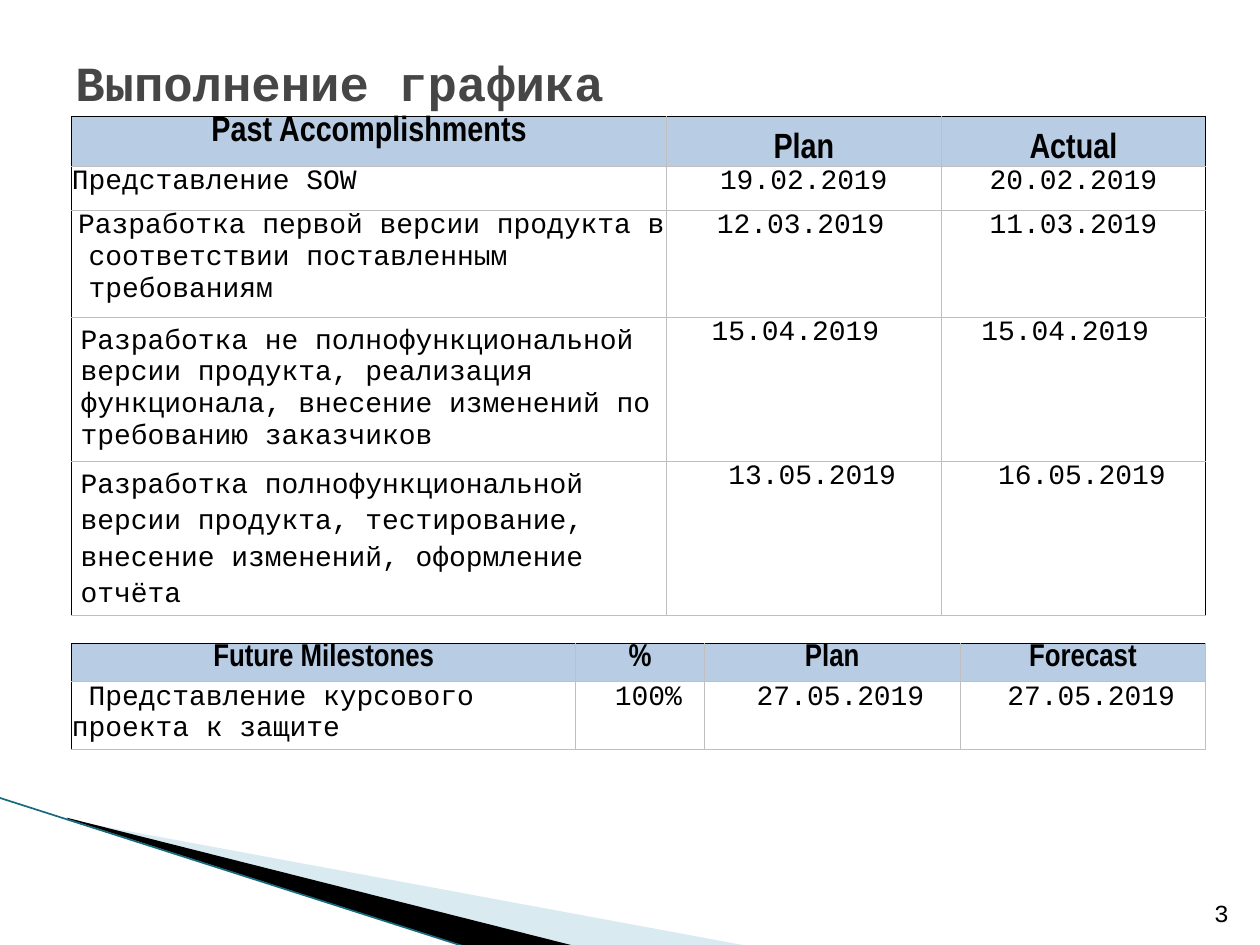
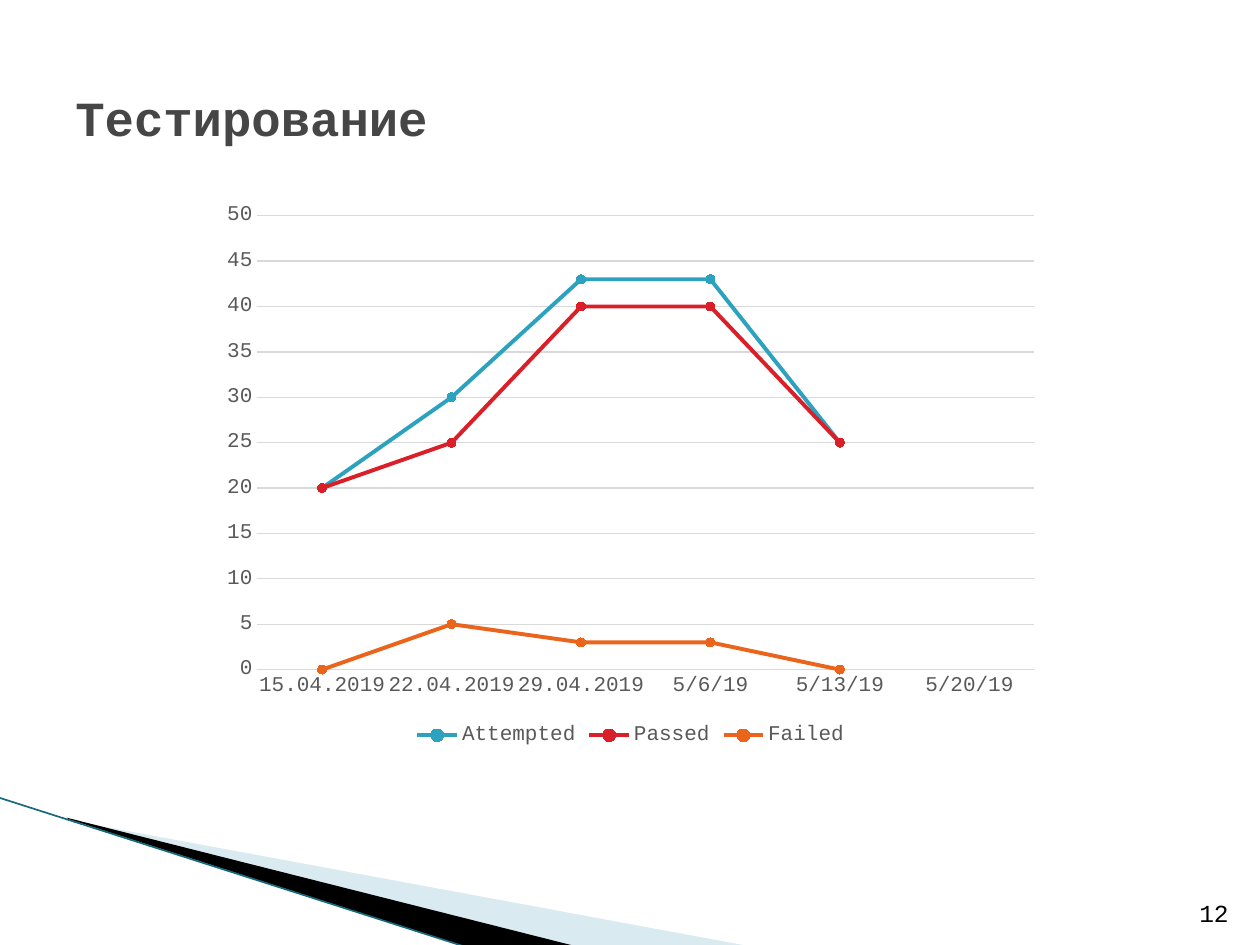
"""Build two project report slides: schedule tables and a testing chart."""
from dataclasses import dataclass
from typing import Any

from lxml.etree import SubElement
from pptx import Presentation
from pptx.chart.data import CategoryChartData as ChartData
from pptx.dml.color import RGBColor
from pptx.enum.chart import XL_CHART_TYPE as ChartType
from pptx.enum.chart import XL_LEGEND_POSITION as LegendPlace
from pptx.enum.chart import XL_MARKER_STYLE as Marker
from pptx.enum.chart import XL_TICK_MARK as Tick
from pptx.enum.shapes import MSO_CONNECTOR as Connector
from pptx.enum.text import MSO_ANCHOR as Anchor
from pptx.enum.text import PP_ALIGN as Align
from pptx.oxml.ns import qn
from pptx.util import Inches, Pt

SLIDE_WIDTH, SLIDE_HEIGHT = Inches(10), Inches(7.5)
GRID_COLUMNS, GRID_ROWS = 100, 75
MONO, NARROW = "Courier New", "Arial Narrow"
BLACK, GREY, HEADER_BLUE = "000000", "BFBFBF", "B8CCE4"
TITLE_GREY, LABEL_GREY, RULE_GREY = "464646", "595959", "D9D9D9"
PALE_BLUE, DEEP_TEAL = "A0CBDC", "17697C"
TITLE = {"size": Pt(28), "name": MONO, "bold": True}
NUMBER = {"size": Pt(14), "name": MONO}
BODY = {"size": Pt(16), "name": MONO, "bold": False}
LABEL = {"size": Pt(12), "name": MONO}


@dataclass(frozen=True)
class Box:
    """A rectangle in grid columns and rows."""
    left: float
    top: float
    width: float
    height: float


@dataclass(frozen=True)
class Wedge:
    """A filled corner outline given by grid points."""
    points: tuple[tuple[float, float], ...]
    color: str
    opacity: int = 100


@dataclass(frozen=True)
class Cell:
    """Text of one table cell and how it is placed."""
    lines: tuple[str, ...]
    align: Any = Align.CENTER
    anchor: Any = Anchor.TOP
    left: float = 0
    right: float = 0
    spacing: float = 1.0
    lead: str = ""


@dataclass(frozen=True)
class Schedule:
    """A table with its grid sizes and edge colour."""
    left: float
    top: float
    columns: tuple[float, ...]
    rows: tuple[float, ...]
    header_size: int
    right_edge: str
    cells: tuple[tuple[Cell, ...], ...]


@dataclass(frozen=True)
class Series:
    """One line of the chart."""
    name: str
    values: tuple[int | None, ...]
    color: str


def date(text: str, **place: Any) -> Cell:
    """Return a centred one-line cell."""
    return Cell((text,), **place)


def task(*lines: str, **place: Any) -> Cell:
    """Return a left-aligned cell."""
    return Cell(lines, align=Align.LEFT, **place)


WEDGES = (
    Wedge(((5.5, 65.1), (59.5, 75.1), (45.6, 75.1), (5.5, 65)), PALE_BLUE, 40),
    Wedge(((5.3, 64.9), (45.7, 75.1), (37.2, 75.2), (5.4, 65)), BLACK),
)
MIDDLE = {"anchor": Anchor.MIDDLE, "left": 0.7, "right": 0.7}
PAST = Schedule(
    5.7, 9.2, (47.2, 21.8, 21), (4, 3.5, 8.5, 11.4, 11.4), 20, BLACK,
    (
        (date("Past Accomplishments"), date("Plan", anchor=Anchor.BOTTOM),
         date("Actual", anchor=Anchor.BOTTOM)),
        (task("Представление SOW"), date("19.02.2019"), date("20.02.2019")),
        (task("Разработка первой версии продукта в", " соответствии поставленным",
              " требованиям", lead=" "),
         date("12.03.2019", right=0.5), date("11.03.2019")),
        (task("Разработка не полнофункциональной версии продукта, реализация "
              "функционала, внесение изменений по требованию заказчиков", **MIDDLE),
         date("15.04.2019 "), date("15.04.2019 ")),
        (task("Разработка полнофункциональной версии продукта, тестирование, "
              "внесение изменений, оформление отчёта", spacing=1.15, **MIDDLE),
         date(" 13.05.2019"), date(" 16.05.2019")),
    ),
)
FUTURE = Schedule(
    5.7, 51.1, (40, 10.2, 20.3, 19.5), (2.3, 5.1), 18, GREY,
    (
        tuple(date(name) for name in ("Future Milestones", "%", "Plan", "Forecast")),
        (task(" Представление курсового проекта к защите"), date(" 100%"),
         date(" 27.05.2019"), date(" 27.05.2019")),
    ),
)
TEST_DATES = ("15.04.2019", "22.04.2019", "29.04.2019", "5/6/19", "5/13/19", "5/20/19")
TEST_RUNS = (
    Series("Attempted", (20, 30, 43, 43, 25, None), "2DA2BF"),
    Series("Passed", (20, 25, 40, 40, 25, None), "DA1F28"),
    Series("Failed", (0, 5, 3, 3, 0, None), "EB641B"),
)


def across(columns: float) -> int:
    """Convert grid columns to a length."""
    return round(SLIDE_WIDTH * columns / GRID_COLUMNS)


def down(rows: float) -> int:
    """Convert grid rows to a length."""
    return round(SLIDE_HEIGHT * rows / GRID_ROWS)


def frame(box: Box) -> tuple[int, int, int, int]:
    """Return the lengths of a grid box."""
    return across(box.left), down(box.top), across(box.width), down(box.height)


def paint(target: Any, color: str) -> None:
    """Give a fill a solid colour."""
    target.solid()
    target.fore_color.rgb = RGBColor.from_string(color)


def apply(target: Any, values: dict[str, Any]) -> None:
    """Set attributes from format values."""
    for name, value in values.items():
        setattr(target, name, value)


def style(font: Any, values: dict[str, Any], color: str) -> None:
    """Set the look of a font."""
    apply(font, values)
    paint(font.fill, color)


def write(para: Any, text: str, values: dict[str, Any], color: str = BLACK) -> None:
    """Add a styled span of text."""
    span = para.add_run()
    span.text = text
    style(span.font, values, color)


def add_text(page: Any, box: Box, text: str, values: dict[str, Any], color: str,
             anchor: Any, align: Any) -> None:
    """Add a one-line text box."""
    body = page.shapes.add_textbox(*frame(box)).text_frame
    apply(body, {"word_wrap": True, "vertical_anchor": anchor})
    para = body.paragraphs[0]
    para.alignment = align
    write(para, text, values, color)


def add_wedge(page: Any, wedge: Wedge) -> None:
    """Draw a filled outline."""
    start, *rest = [(across(x), down(y)) for x, y in wedge.points]
    builder = page.shapes.build_freeform(*start, scale=1.0)
    builder.add_line_segments(rest, close=True)
    shape = builder.convert_to_shape()
    shape.shadow.inherit = False
    shape.line.fill.background()
    paint(shape.fill, wedge.color)
    if wedge.opacity < 100:
        tint = shape.fill._xPr.find(qn("a:solidFill"))[0]
        SubElement(tint, qn("a:alpha"), val=str(wedge.opacity * 1000))


def add_page(deck: Any, title: str, title_height: float, number: int) -> Any:
    """Add a slide with its corner band, title and number."""
    page = deck.slides.add_slide(deck.slide_layouts[6])
    paint(page.background.fill, "FFFFFF")
    for wedge in WEDGES:
        add_wedge(page, wedge)
    edge = page.shapes.add_connector(Connector.STRAIGHT, across(-0.1), down(63.3),
                                     across(37.1), down(75.2))
    edge.line.width = Pt(0.95)
    paint(edge.line.fill, DEEP_TEAL)
    SubElement(edge._element.spPr, qn("a:effectLst"))
    add_text(page, Box(5, 3, 90, title_height), title, TITLE, TITLE_GREY,
             Anchor.MIDDLE, Align.LEFT)
    add_text(page, Box(93.3, 70.1, 5.2, 4), str(number), NUMBER, BLACK,
             Anchor.BOTTOM, Align.RIGHT)
    return page


def add_border(cell: Any, side: str, color: str) -> None:
    """Draw one side of a cell."""
    line = SubElement(cell._tc.get_or_add_tcPr(), qn(f"a:ln{side}"), w=str(Pt(0.5)))
    SubElement(SubElement(line, qn("a:solidFill")), qn("a:srgbClr"), val=color)


def fill_cell(cell: Any, content: Cell, values: dict[str, Any]) -> None:
    """Place the text of a cell."""
    apply(cell, {"margin_left": across(content.left), "margin_right": across(content.right),
                 "margin_top": 0, "margin_bottom": 0, "vertical_anchor": content.anchor})
    for index, line in enumerate(content.lines):
        body = cell.text_frame
        para = body.add_paragraph() if index else body.paragraphs[0]
        apply(para, {"alignment": content.align, "line_spacing": content.spacing})
        if content.lead and not index:
            write(para, content.lead, BODY | {"name": NARROW})
        write(para, line, values)


def add_schedule(page: Any, schedule: Schedule) -> None:
    """Add a table with a blue header row."""
    box = Box(schedule.left, schedule.top, sum(schedule.columns), sum(schedule.rows))
    table = page.shapes.add_table(len(schedule.rows), len(schedule.columns),
                                  *frame(box)).table
    apply(table, {"first_row": False, "horz_banding": False})
    for column, width in zip(table.columns, schedule.columns):
        column.width = across(width)
    for row, height in zip(table.rows, schedule.rows):
        row.height = down(height)
    header = {"size": Pt(schedule.header_size), "name": NARROW, "bold": True}
    last = len(schedule.columns) - 1
    for i, contents in enumerate(schedule.cells):
        for j, content in enumerate(contents):
            cell = table.cell(i, j)
            fill_cell(cell, content, BODY if i else header)
            sides = {"L": GREY if j else BLACK,
                     "R": schedule.right_edge if j == last else GREY,
                     "T": GREY if i else BLACK, "B": GREY}
            for side, color in sides.items():
                add_border(cell, side, color)
            if i:
                cell.fill.background()
            else:
                paint(cell.fill, HEADER_BLUE)


def add_test_chart(page: Any, box: Box) -> None:
    """Add the line chart of test runs."""
    data = ChartData()
    data.categories = TEST_DATES
    for run in TEST_RUNS:
        data.add_series(run.name, run.values)
    chart = page.shapes.add_chart(ChartType.LINE_MARKERS, *frame(box), data).chart
    apply(chart, {"has_title": False, "has_legend": True})
    style(chart.font, {"size": Pt(10), "name": MONO}, BLACK)
    apply(chart.legend, {"position": LegendPlace.BOTTOM, "include_in_layout": False})
    style(chart.legend.font, LABEL, LABEL_GREY)
    dates, counts = chart.category_axis, chart.value_axis
    for axis in (dates, counts):
        apply(axis, {"major_tick_mark": Tick.NONE, "minor_tick_mark": Tick.NONE})
        style(axis.tick_labels.font, LABEL, LABEL_GREY)
    apply(counts, {"minimum_scale": 0, "maximum_scale": 50, "major_unit": 5,
                   "has_major_gridlines": True})
    counts.format.line.fill.background()
    for rule in (dates.format.line, counts.major_gridlines.format.line):
        rule.width = Pt(0.75)
        paint(rule.fill, RULE_GREY)
    chart.plots[0].vary_by_categories = False
    for series, run in zip(chart.plots[0].series, TEST_RUNS):
        series.smooth = False
        series.format.line.width = Pt(2.25)
        apply(series.marker, {"style": Marker.CIRCLE, "size": 5})
        mark = series.marker.format
        for fill in (series.format.line.fill, mark.fill, mark.line.fill):
            paint(fill, run.color)


def main() -> None:
    """Build and save the deck."""
    deck = Presentation()
    apply(deck, {"slide_width": SLIDE_WIDTH, "slide_height": SLIDE_HEIGHT})
    schedule_page = add_page(deck, "Выполнение графика", 7, 3)
    for schedule in (PAST, FUTURE):
        add_schedule(schedule_page, schedule)
    test_page = add_page(deck, "Тестирование", 12.5, 12)
    add_test_chart(test_page, Box(16.7, 15.3, 66.7, 44.4))
    deck.save("out.pptx")


if __name__ == "__main__":
    main()
